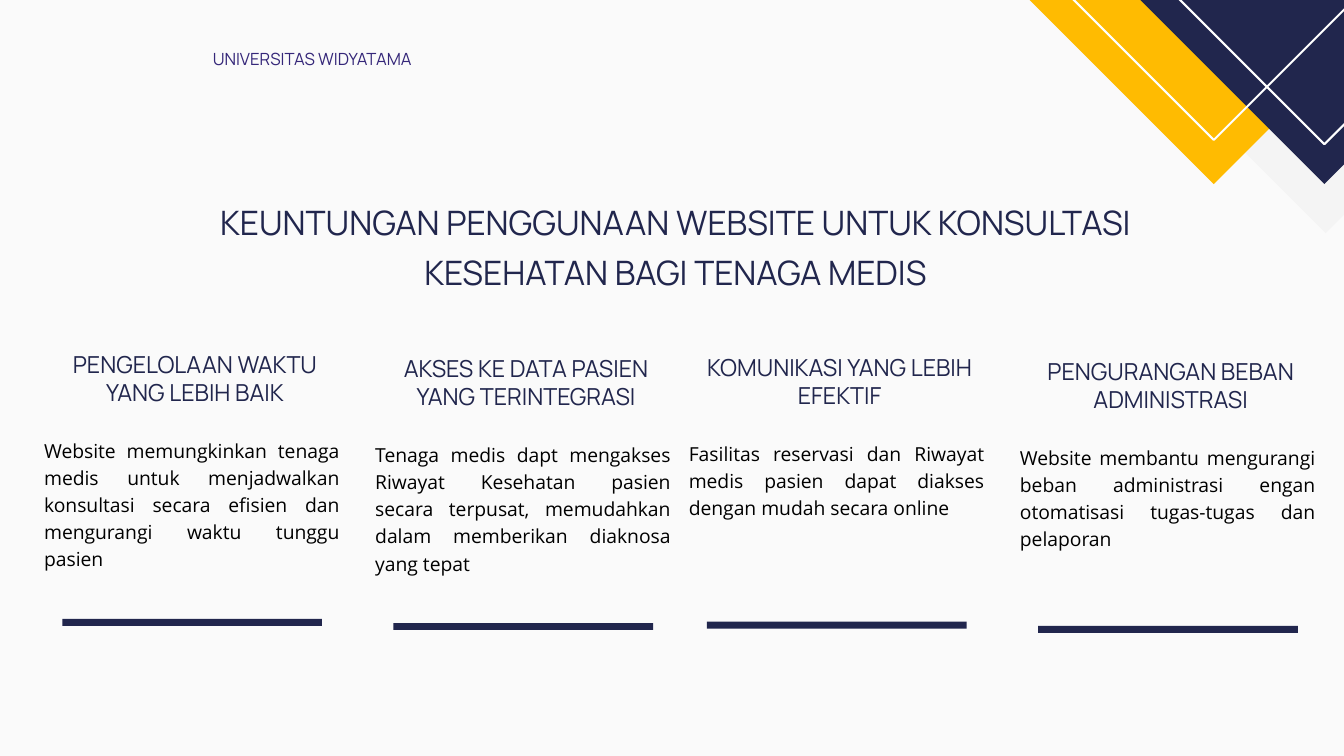
from dataclasses import dataclass
from typing import Optional

from pptx import Presentation
from pptx.dml.color import RGBColor
from pptx.enum.shapes import MSO_SHAPE
from pptx.enum.text import MSO_ANCHOR, MSO_AUTO_SIZE, PP_ALIGN
from pptx.util import Emu, Pt

EMU_PER_PX = 9525
COLORS = {
    "background": "FAFAFA",
    "navy": "21264D",
    "yellow": "FFBB01",
    "grey": "F4F4F4",
    "white": "FFFFFF",
    "violet": "352779",
    "black": "000000",
}


@dataclass(frozen=True)
class Box:
    left: int
    top: int
    width: int
    height: int


@dataclass(frozen=True)
class TextStyle:
    font: str
    size: float
    color: str
    alignment: PP_ALIGN
    line_spacing: Optional[float] = None


@dataclass(frozen=True)
class Diamond:
    center_x: int
    center_y: int
    fill: Optional[str] = None


@dataclass(frozen=True)
class Benefit:
    left: int
    top: int
    heading: str
    body: str
    body_height: int


TITLE_STYLE = TextStyle("Manrope", 36, "navy", PP_ALIGN.CENTER, 54.3)
LABEL_STYLE = TextStyle("Manrope", 18, "violet", PP_ALIGN.LEFT, 25.3)
HEADING_STYLE = TextStyle("Manrope", 25.1, "navy", PP_ALIGN.CENTER)
BODY_STYLE = TextStyle("Open Sans", 20.7, "black", PP_ALIGN.JUSTIFY, 29)

DIAMOND_HALF = 322
DIAMONDS = [
    Diamond(1894, 11, "grey"),
    Diamond(1734, -59, "yellow"),
    Diamond(1892, -59, "navy"),
    Diamond(1892, -116),
    Diamond(1734, -122),
]

# Left and top are those of the body text; heading and bar hang off them
BENEFITS = [
    Benefit(63, 622, "PENGELOLAAN WAKTU YANG LEBIH BAIK",
            "Website memungkinkan tenaga medis untuk menjadwalkan konsultasi "
            "secara efisien dan mengurangi waktu tunggu pasien", 193),
    Benefit(536, 628, "AKSES KE DATA PASIEN YANG TERINTEGRASI",
            "Tenaga medis dapt mengakses Riwayat Kesehatan pasien secara "
            "terpusat, memudahkan dalam memberikan diaknosa yang tepat", 193),
    Benefit(984, 626, "KOMUNIKASI YANG LEBIH EFEKTIF",
            "Fasilitas reservasi dan Riwayat medis pasien dapat diakses "
            "dengan mudah secara online", 114),
    Benefit(1457, 632, "PENGURANGAN BEBAN ADMINISTRASI",
            "Website membantu mengurangi beban administrasi engan otomatisasi "
            "tugas-tugas dan pelaporan", 154),
]


def px(value: int) -> Emu:
    return Emu(value * EMU_PER_PX)


def rgb(name: str) -> RGBColor:
    return RGBColor.from_string(COLORS[name])


def emus(box: Box) -> tuple:
    return px(box.left), px(box.top), px(box.width), px(box.height)


def write_text(shape, text: str, style: TextStyle) -> None:
    frame = shape.text_frame
    frame.word_wrap = True
    frame.auto_size = MSO_AUTO_SIZE.NONE
    frame.vertical_anchor = MSO_ANCHOR.TOP
    frame.margin_left = frame.margin_right = 0
    frame.margin_top = frame.margin_bottom = 0
    paragraph = frame.paragraphs[0]
    paragraph.alignment = style.alignment
    if style.line_spacing:
        paragraph.line_spacing = Pt(style.line_spacing)
    run = paragraph.add_run()
    run.text = text
    run.font.name = style.font
    run.font.size = Pt(style.size)
    run.font.color.rgb = rgb(style.color)


def add_text(slide, box: Box, text: str, style: TextStyle) -> None:
    write_text(slide.shapes.add_textbox(*emus(box)), text, style)


def add_solid(slide, kind: MSO_SHAPE, box: Box, fill: Optional[str]) -> None:
    """Draw a filled shape, or a white outline when there is no fill."""
    shape = slide.shapes.add_shape(kind, *emus(box))
    shape.shadow.inherit = False
    if fill:
        shape.fill.solid()
        shape.fill.fore_color.rgb = rgb(fill)
        shape.line.fill.background()
    else:
        shape.fill.background()
        shape.line.color.rgb = rgb("white")
        shape.line.width = Pt(2.25)


def add_diamond(slide, diamond: Diamond) -> None:
    box = Box(diamond.center_x - DIAMOND_HALF, diamond.center_y - DIAMOND_HALF,
              2 * DIAMOND_HALF, 2 * DIAMOND_HALF)
    add_solid(slide, MSO_SHAPE.DIAMOND, box, diamond.fill)


def add_benefit(slide, benefit: Benefit) -> None:
    left, top = benefit.left, benefit.top
    add_solid(slide, MSO_SHAPE.RECTANGLE, Box(left + 26, top + 262, 371, 10), "navy")
    add_text(slide, Box(left, top, 422, benefit.body_height), benefit.body, BODY_STYLE)
    add_text(slide, Box(left + 3, top - 122, 425, 81), benefit.heading, HEADING_STYLE)


def main() -> None:
    presentation = Presentation()
    presentation.slide_width, presentation.slide_height = px(1920), px(1080)
    slide = presentation.slides.add_slide(presentation.slide_layouts[5])
    slide.background.fill.solid()
    slide.background.fill.fore_color.rgb = rgb("background")

    # Title
    title = slide.shapes.title
    title.left, title.top, title.width, title.height = emus(Box(180, 273, 1570, 142))
    write_text(title, "KEUNTUNGAN PENGGUNAAN WEBSITE UNTUK KONSULTASI "
                      "KESEHATAN BAGI TENAGA MEDIS", TITLE_STYLE)

    # Corner decoration
    for diamond in DIAMONDS:
        add_diamond(slide, diamond)

    # University label
    add_text(slide, Box(304, 65, 439, 32), "UNIVERSITAS WIDYATAMA", LABEL_STYLE)

    # Benefit columns
    for benefit in BENEFITS:
        add_benefit(slide, benefit)

    presentation.save("out.pptx")


if __name__ == "__main__":
    main()
